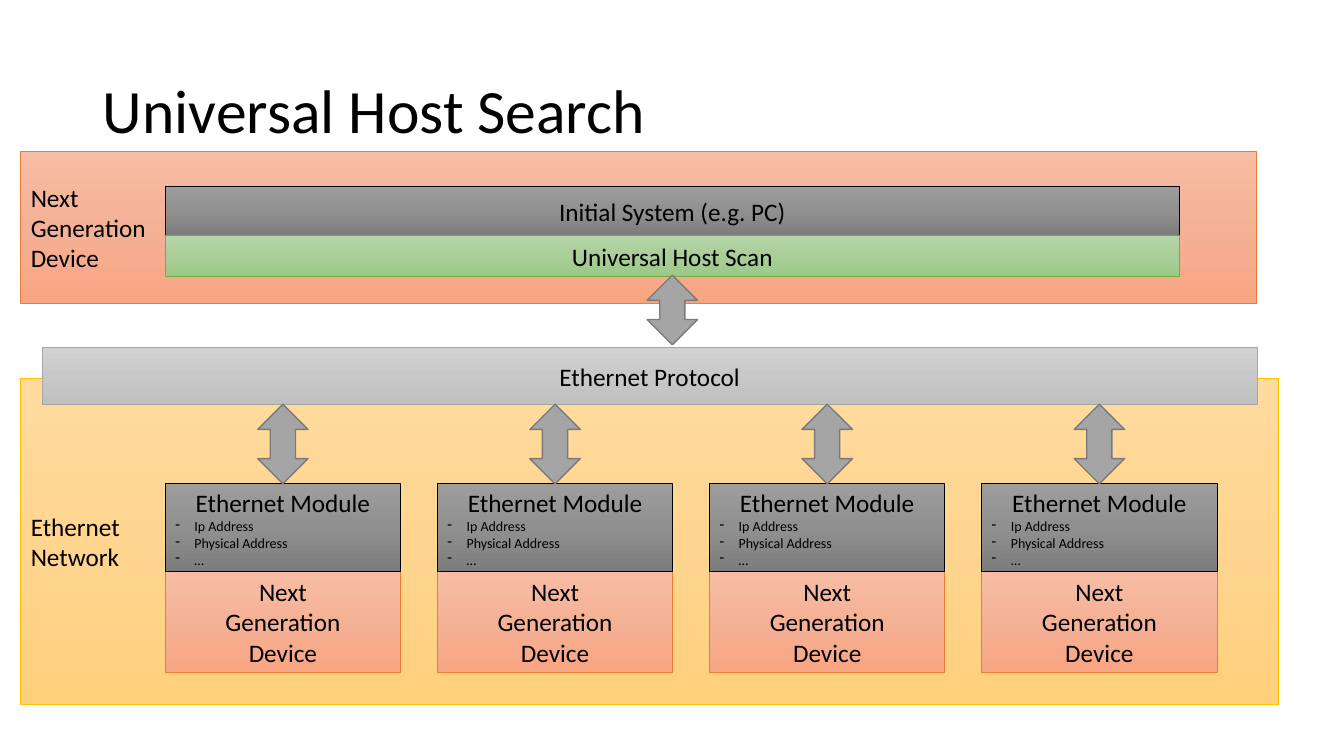
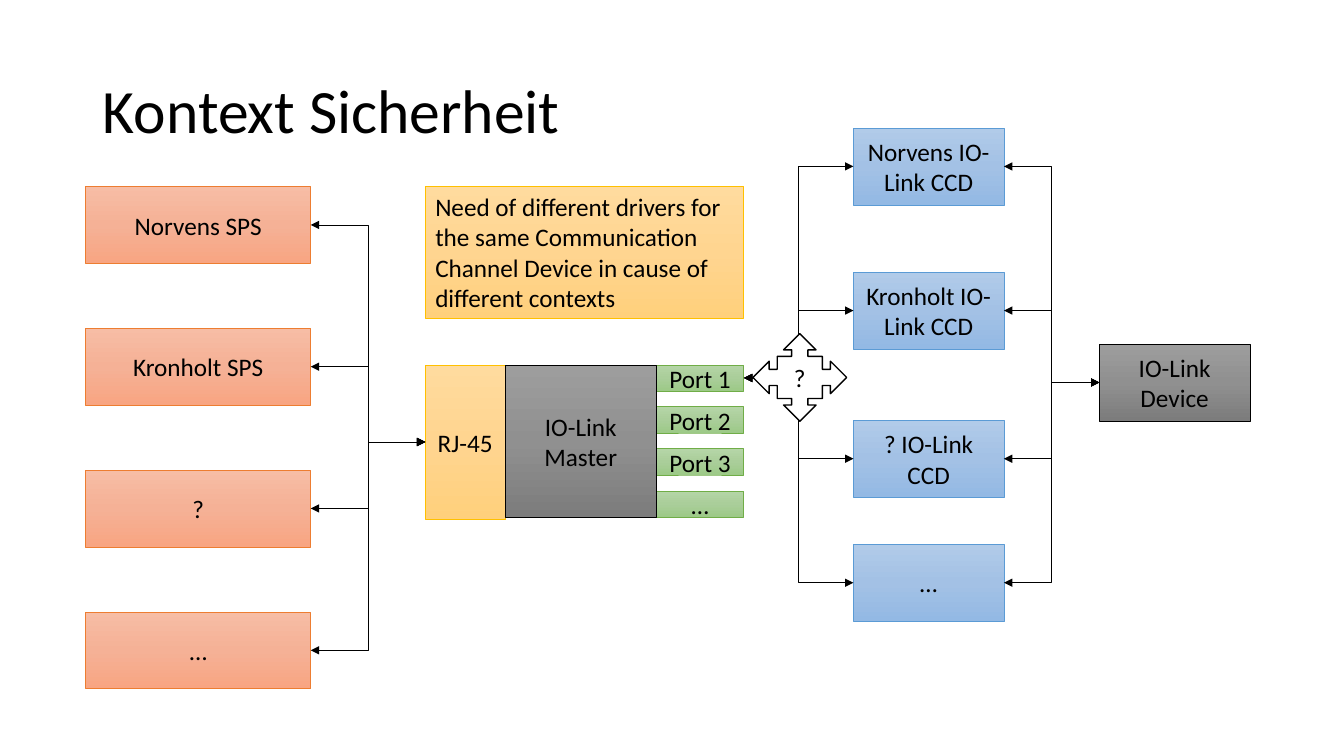
from copy import deepcopy
from dataclasses import dataclass

from lxml.etree import SubElement
from pptx import Presentation
from pptx.dml.color import RGBColor
from pptx.enum.shapes import MSO_CONNECTOR, MSO_SHAPE
from pptx.enum.text import MSO_ANCHOR, MSO_AUTO_SIZE, PP_ALIGN
from pptx.oxml.ns import qn
from pptx.shapes.autoshape import Shape
from pptx.shapes.connector import Connector
from pptx.slide import Slide
from pptx.util import Inches, Pt

FONT = "Calibri"
BODY_SIZE = 18
DETAIL_SIZE = 10
COLORS = {
    "text": "000000",
    "white": "FFFFFF",
    "arrow": "A5A5A5",
    "arrow_edge": "7A7A7A",
}
GRADIENTS = {
    "orange": ("F7BDA5", "F5B196", "F8A582"),
    "yellow": ("FFDB9E", "FFD590", "FFD07C"),
    "green": ("B5D5A7", "AACE9A", "9CC987"),
    "blue": ("B1CBE9", "A3C1E5", "93B9E4"),
    "dark": ("9D9D9D", "909090", "7C7C7C"),
    "light": ("D2D2D2", "C8C8C8", "C0C0C0"),
}
EDGES = {
    "orange": "ED7D31",
    "yellow": "FFC000",
    "green": "70AD47",
    "blue": "5B9BD5",
    "dark": "000000",
    "light": "A5A5A5",
}

COLUMNS, ROWS = 400, 225
deck = Presentation()
deck.slide_width = Inches(13.33)
deck.slide_height = Inches(7.5)
COLUMN = deck.slide_width / COLUMNS
ROW = deck.slide_height / ROWS

TOP, LEFT, BOTTOM, RIGHT = range(4)


@dataclass(frozen=True)
class Area:
    column: float
    row: float
    columns: float
    rows: float

    @property
    def emu(self) -> tuple[int, int, int, int]:
        return (
            round(self.column * COLUMN),
            round(self.row * ROW),
            round(self.columns * COLUMN),
            round(self.rows * ROW),
        )


@dataclass(frozen=True)
class Block:
    text: str
    area: Area
    color: str
    align: PP_ALIGN = PP_ALIGN.CENTER
    anchor: MSO_ANCHOR = MSO_ANCHOR.MIDDLE
    preset: MSO_SHAPE = MSO_SHAPE.RECTANGLE


def rgb(name: str) -> RGBColor:
    return RGBColor.from_string(COLORS[name])


def add_titled_slide(heading: str) -> Slide:
    slide = deck.slides.add_slide(deck.slide_layouts[5])
    title = slide.shapes.title
    title.left, title.top, title.width, title.height = Area(27.6, 12, 302.1, 43.5).emu
    frame = title.text_frame
    frame.text = heading
    frame.word_wrap = True
    frame.auto_size = MSO_AUTO_SIZE.NONE
    frame.vertical_anchor = MSO_ANCHOR.MIDDLE
    line = frame.paragraphs[0]
    line.alignment = PP_ALIGN.LEFT
    line.line_spacing = 0.9
    format_font(line.runs[0].font, 44)
    return slide


def format_font(font, size: float) -> None:
    font.name = FONT
    font.size = Pt(size)
    font.color.rgb = rgb("text")


def write(shape: Shape, text: str, align: PP_ALIGN, anchor: MSO_ANCHOR) -> None:
    frame = shape.text_frame
    frame.text = text
    frame.word_wrap = True
    frame.vertical_anchor = anchor
    for paragraph in frame.paragraphs:
        paragraph.alignment = align
        for run in paragraph.runs:
            format_font(run.font, BODY_SIZE)


def shade(shape: Shape, color: str) -> None:
    fill = shape.fill
    fill.gradient()
    fill.gradient_angle = 270
    first_stop = next(shape.element.spPr.iter(qn("a:gs")))
    first_stop.addnext(deepcopy(first_stop))
    for stop, position, tone in zip(fill.gradient_stops, (0, 0.5, 1), GRADIENTS[color]):
        stop.position = position
        stop.color.rgb = RGBColor.from_string(tone)
    shape.line.color.rgb = RGBColor.from_string(EDGES[color])
    shape.line.width = Pt(0.5)


def add_block(slide: Slide, block: Block) -> Shape:
    shape = slide.shapes.add_shape(block.preset, *block.area.emu)
    shape.shadow.inherit = False
    shade(shape, block.color)
    write(shape, block.text, block.align, block.anchor)
    return shape


def add_plain(slide: Slide, preset: MSO_SHAPE, area: Area, fill: str, edge: str) -> Shape:
    shape = slide.shapes.add_shape(preset, *area.emu)
    shape.shadow.inherit = False
    shape.fill.solid()
    shape.fill.fore_color.rgb = rgb(fill)
    shape.line.color.rgb = rgb(edge)
    shape.line.width = Pt(1)
    return shape


def add_exchange(slide: Slide, center: float, row: float, rows: float) -> Shape:
    area = Area(center - 7.5, row, 15, rows)
    return add_plain(slide, MSO_SHAPE.UP_DOWN_ARROW, area, "arrow", "arrow_edge")


def list_details(module: Shape) -> None:
    for detail in module.text_frame.paragraphs[1:]:
        detail.alignment = PP_ALIGN.LEFT
        for run in detail.runs:
            run.font.size = Pt(DETAIL_SIZE)
        properties = detail._p.get_or_add_pPr()
        properties.set("marL", str(Inches(0.19)))
        properties.set("indent", str(-Inches(0.19)))
        SubElement(properties, qn("a:buChar")).set("char", "-")


def link(slide: Slide, source: Shape, target: Shape, weight: float) -> Connector:
    connector = slide.shapes.add_connector(MSO_CONNECTOR.ELBOW, 0, 0, 0, 0)
    connector.begin_connect(source, RIGHT)
    connector.end_connect(target, LEFT)
    connector.line.color.rgb = rgb("text")
    connector.line.width = Pt(weight)
    outline = connector.line._get_or_add_ln()
    for end in ("a:headEnd", "a:tailEnd"):
        SubElement(outline, qn(end)).set("type", "triangle")
    SubElement(connector.element.spPr, qn("a:effectLst"))
    return connector


def build_host_search() -> None:
    slide = add_titled_slide("Universal Host Search")
    device_name = "Next\nGeneration\nDevice"
    for block in (
        Block("Ethernet\nNetwork", Area(6.2, 112.5, 374.4, 97.2), "yellow", PP_ALIGN.LEFT),
        Block(device_name, Area(6.2, 45, 367.8, 45.4), "orange", PP_ALIGN.LEFT),
        Block("Initial System (e.g. PC)", Area(49.2, 55.5, 301.8, 14.7), "dark"),
        Block("Universal Host Scan", Area(49.2, 70.2, 301.8, 12), "green"),
        Block("Ethernet Protocol", Area(12.6, 103.5, 361.5, 16.8), "light"),
    ):
        add_block(slide, block)
    slide.shapes._spTree.append(slide.shapes.title.element)
    module_text = "Ethernet Module\nIp Address\nPhysical Address\n…"
    module_columns = 70
    for index in range(4):
        column = 49.2 + 81 * index
        add_block(slide, Block(device_name, Area(column, 170.1, module_columns, 30), "orange"))
        module_area = Area(column, 144, module_columns, 26.1)
        list_details(add_block(slide, Block(module_text, module_area, "dark")))
        add_exchange(slide, column + module_columns / 2, 120.3, 23.7)
    add_exchange(slide, 200.1, 81.9, 20.7)


def build_security_context() -> None:
    slide = add_titled_slide("Kontext Sicherheit")
    process = MSO_SHAPE.FLOWCHART_PROCESS
    socket = add_block(slide, Block("RJ-45", Area(126.6, 108.6, 23.7, 45.9), "yellow"))
    ports = [
        add_block(slide, Block(name, Area(195.3, 108.6 + 12.5 * index, 26.1, 7.8), "green"))
        for index, name in enumerate(("Port 1", "Port 2", "Port 3", "…"))
    ]
    add_block(slide, Block("IO-Link Master", Area(150.3, 108.9, 45.1, 45.1), "dark", preset=process))
    for index, name in enumerate(("Norvens SPS", "Kronholt SPS", "?", "…")):
        area = Area(25.5, 55.5 + 42.2 * index, 67, 22.9)
        controller = add_block(slide, Block(name, area, "orange", preset=process))
        link(slide, controller, socket, 0.5)
    io_device = add_block(
        slide, Block("IO-Link Device", Area(327.2, 102.4, 44.8, 22.9), "dark", preset=process)
    )
    for name, row in (
        ("Norvens IO-Link CCD", 38.1),
        ("Kronholt IO-Link CCD", 81),
        ("? IO-Link CCD", 125.1),
        ("…", 162),
    ):
        channel = add_block(slide, Block(name, Area(254, row, 44.8, 22.9), "blue", preset=process))
        link(slide, ports[0], channel, 1)
        link(slide, channel, io_device, 0.5)
    choice = add_plain(
        slide, MSO_SHAPE.QUAD_ARROW_CALLOUT, Area(224.1, 99.3, 27.9, 26.1), "white", "text"
    )
    write(choice, "?", PP_ALIGN.CENTER, MSO_ANCHOR.MIDDLE)
    reason = (
        "Need of different drivers for the same Communication Channel Device "
        "in cause of different contexts"
    )
    note_area = Area(126.6, 55.5, 94.8, 39.3)
    add_block(slide, Block(reason, note_area, "yellow", PP_ALIGN.LEFT, MSO_ANCHOR.TOP))


build_host_search()
build_security_context()
deck.save("out.pptx")
